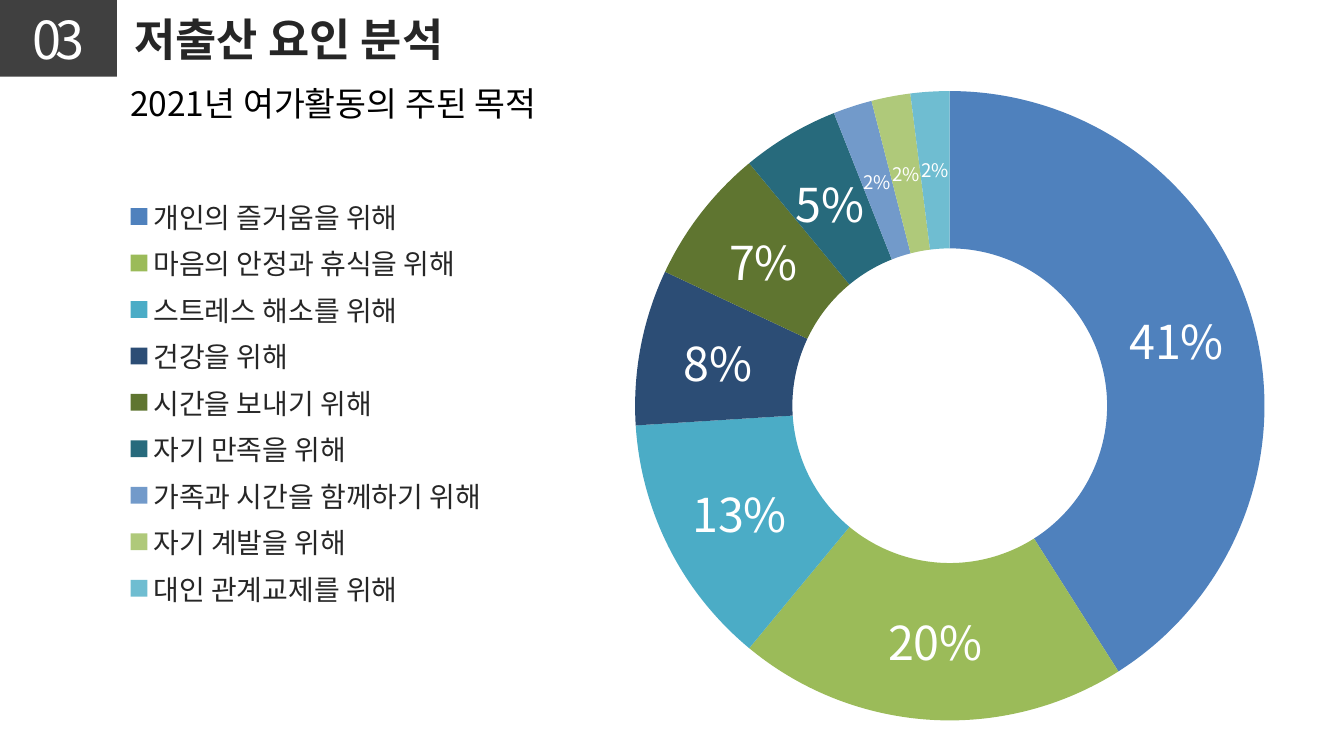
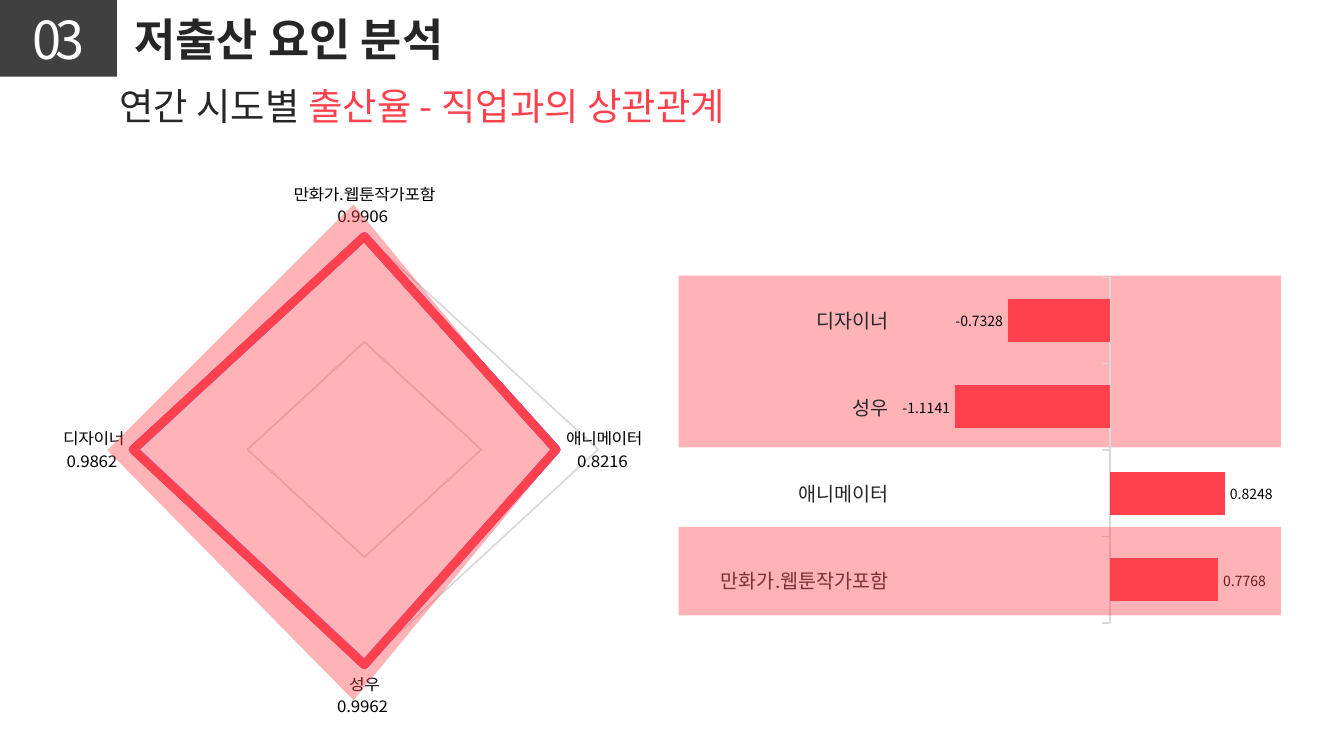
from dataclasses import dataclass

from lxml import etree
from pptx import Presentation
from pptx import util as u
from pptx.chart import data as cd
from pptx.dml.color import RGBColor
from pptx.enum import chart as ch
from pptx.enum import shapes, text
from pptx.oxml.ns import qn

FACE = "Noto Sans CJK KR"
HUES = {
    "dark": "404040", "ink": "262626", "black": "000000", "white": "FFFFFF",
    "red": "FF414D", "violet": "9966FF", "grid": "D9D9D9",
}


@dataclass
class Box:
    left: float
    top: float
    width: float
    height: float

    def lens(self) -> tuple:
        return tuple(map(u.Inches, (self.left, self.top, self.width, self.height)))


@dataclass
class Part:
    words: str
    hue: str


@dataclass
class Slice:
    name: str
    share: float
    hue: str


# Shared helpers
def rgb(hue: str) -> RGBColor:
    return RGBColor.from_string(HUES.get(hue, hue))


def style(font, size: float, hue: str, bold: bool = False) -> None:
    font.size, font.bold, font.name = u.Pt(size), bold, FACE
    font.color.rgb = rgb(hue)


def paint(shape, hue: str, alpha: int = 100) -> None:
    shape.shadow.inherit = False
    shape.fill.solid()
    shape.fill.fore_color.rgb = rgb(hue)
    shape.line.fill.background()
    if alpha < 100:
        tint = shape.fill._xPr.find(".//" + qn("a:srgbClr"))
        etree.SubElement(tint, qn("a:alpha"), val=str(alpha * 1000))


def add_rect(slide, box: Box, hue: str, alpha: int = 100):
    rect = slide.shapes.add_shape(shapes.MSO_SHAPE.RECTANGLE, *box.lens())
    paint(rect, hue, alpha)
    return rect


def fit(frame) -> None:
    frame.word_wrap = False
    frame.auto_size = text.MSO_AUTO_SIZE.SHAPE_TO_FIT_TEXT


def add_sub(slide, box: Box, size: float, parts: list[Part]) -> None:
    frame = slide.shapes.add_textbox(*box.lens()).text_frame
    fit(frame)
    para = frame.paragraphs[0]
    para.alignment = text.PP_ALIGN.JUSTIFY
    for part in parts:
        run = para.add_run()
        run.text = part.words
        style(run.font, size, part.hue)


def add_page(deck):
    slide = deck.slides.add_slide(deck.slide_layouts[5])
    # Title
    title = slide.shapes.title
    title.left, title.top, title.width, title.height = Box(0.9, 0.04, 2.8, 0.5).lens()
    frame = title.text_frame
    frame.text = "저출산 요인 분석"
    frame.vertical_anchor = text.MSO_ANCHOR.TOP
    fit(frame)
    para = frame.paragraphs[0]
    para.alignment = text.PP_ALIGN.LEFT
    style(para.runs[0].font, 24, "ink", True)
    # Section number
    badge = add_rect(slide, Box(0, 0, 0.87, 0.57), "dark")
    frame = badge.text_frame
    frame.text = "03"
    frame.vertical_anchor = text.MSO_ANCHOR.MIDDLE
    para = frame.paragraphs[0]
    para.alignment = text.PP_ALIGN.CENTER
    style(para.runs[0].font, 28, "white")
    para.runs[0].font._element.set("spc", "-300")
    return slide


# Chart helpers
def add_graph(slide, kind, box: Box, names: list[str], rows: list[list[float]],
              form: str = "General"):
    data = cd.CategoryChartData(number_format=form)
    data.categories = names
    for num, row in enumerate(rows, 1):
        data.add_series(f"Series {num}", row)
    graph = slide.shapes.add_chart(kind, *box.lens(), data).chart
    graph.has_title = False
    graph.has_legend = False
    style(graph.font, 10, "black")
    return graph


def place(node, spot: Box, index: int, inner: bool = True) -> None:
    for old in node.findall(qn("c:layout")):
        node.remove(old)
    lay = etree.Element(qn("c:layout"))
    man = etree.SubElement(lay, qn("c:manualLayout"))
    items = {"layoutTarget": "inner"} if inner else {}
    items |= {"xMode": "edge", "yMode": "edge", "x": spot.left, "y": spot.top,
              "w": spot.width, "h": spot.height}
    for key, val in items.items():
        etree.SubElement(man, qn("c:" + key), val=str(val))
    node.insert(index, lay)


def place_plot(graph, spot: Box) -> None:
    place(graph._chartSpace.find(".//" + qn("c:plotArea")), spot, 0)


def add_marks(row, size: float, hue: str, form: str):
    marks = row.data_labels
    marks.show_value = True
    marks.number_format = form
    marks.number_format_is_linked = False
    style(marks.font, size, hue)
    return marks


def set_scale(axis, low: float, high: float, step: float) -> None:
    axis.minimum_scale, axis.maximum_scale, axis.major_unit = low, high, step
    axis.visible = False


# Leisure slide
AIMS = [
    Slice("개인의 즐거움을 위해", 0.41, "4F81BD"),
    Slice("마음의 안정과 휴식을 위해", 0.2, "9BBB59"),
    Slice("스트레스 해소를 위해", 0.13, "4BACC6"),
    Slice("건강을 위해", 0.08, "2C4D75"),
    Slice("시간을 보내기 위해", 0.07, "5F7530"),
    Slice("자기 만족을 위해", 0.05, "276A7C"),
    Slice("가족과 시간을 함께하기 위해", 0.02, "729ACA"),
    Slice("자기 계발을 위해", 0.02, "AFC97A"),
    Slice("대인 관계교제를 위해", 0.02, "6FBDD1"),
]


def add_ring(slide) -> None:
    graph = add_graph(slide, ch.XL_CHART_TYPE.DOUGHNUT, Box(0.83, 0.53, 9.98, 4.93),
                      [aim.name for aim in AIMS], [[aim.share for aim in AIMS]], "0%")
    place_plot(graph, Box(0.33, 0.03, 0.59, 0.95))
    graph.has_legend = True
    key = graph.legend
    key.position = ch.XL_LEGEND_POSITION.LEFT
    key.include_in_layout = False
    style(key.font, 15, "ink")
    place(key._element, Box(0.01, 0.18, 0.27, 0.64), 1, False)
    row = graph.plots[0].series[0]
    add_marks(row, 25, "white", "0%")
    for num, aim in enumerate(AIMS):
        point = row.points[num]
        point.format.fill.solid()
        point.format.fill.fore_color.rgb = rgb(aim.hue)
        if aim.share < 0.05:
            style(point.data_label.font, 10, "white")
    for node in row._element.xpath("c:dLbls/c:dLbl/c:txPr"):
        form = etree.Element(qn("c:numFmt"), formatCode="0%", sourceLinked="0")
        node.addprevious(form)


# Jobs slide
JOBS = ["만화가.웹툰작가포함", "애니메이터", "성우", "디자이너"]
FINE = [0.9906, 0.8216, 0.9962, 0.9862]
ROUND = [0.99, 0.82, 1, 0.99]
SLOPES = [0.7768, 0.8248, -1.1141, -0.7328]


def add_radar(slide) -> None:
    graph = add_graph(slide, ch.XL_CHART_TYPE.RADAR, Box(0.47, 1.36, 4.31, 3.98),
                      JOBS, [ROUND, ROUND, FINE, ROUND])
    graph.category_axis.visible = False
    graph.category_axis.has_major_gridlines = False
    axis = graph.value_axis
    set_scale(axis, 0, 1, 0.5)
    axis.has_major_gridlines = True
    line = axis.major_gridlines.format.line
    line.width, line.color.rgb = u.Pt(1), rgb("grid")
    rows = list(graph.plots[0].series)
    for num, row in enumerate(rows):
        row.smooth = False
        line = row.format.line
        line.width, line.color.rgb = u.Pt(5), rgb("violet" if num else "red")
    marks = add_marks(rows[2], 10, "black", r"#,##0.0000_);[Red]\(#,##0.0000\)")
    marks.show_category_name = True
    gap = etree.Element(qn("c:separator"))
    gap.text = "\n"
    marks._element.find(qn("c:showBubbleSize")).addnext(gap)
    # The red line lies on top
    rows[-1]._element.addnext(rows[0]._element)


def add_kite(slide) -> None:
    pts = [(0.8, 3.35), (2.63, 1.52), (4.15, 3.37), (2.63, 5.21)]
    pts = [(u.Inches(x), u.Inches(y)) for x, y in pts]
    pen = slide.shapes.build_freeform(*pts[0])
    pen.add_line_segments(pts[1:], close=True)
    paint(pen.convert_to_shape(), "red", 40)


def add_bars(slide) -> None:
    graph = add_graph(slide, ch.XL_CHART_TYPE.BAR_CLUSTERED, Box(5.16, 2.01, 4.31, 2.68),
                      JOBS, [SLOPES])
    place_plot(graph, Box(0.36, 0.02, 0.6, 0.96))
    set_scale(graph.value_axis, -1.5, 1, 0.5)
    graph.value_axis.has_major_gridlines = False
    axis = graph.category_axis
    axis.tick_label_position = ch.XL_TICK_LABEL_POSITION.LOW
    axis.major_tick_mark = ch.XL_TICK_MARK.OUTSIDE
    style(axis.tick_labels.font, 10.5, "ink")
    line = axis.format.line
    line.width, line.color.rgb = u.Pt(0.75), rgb("grid")
    plot = graph.plots[0]
    plot.gap_width = 100
    plot.vary_by_categories = False
    row = plot.series[0]
    row.invert_if_negative = False
    row.format.fill.solid()
    row.format.fill.fore_color.rgb = rgb("red")
    marks = add_marks(row, 7.5, "black", "General")
    marks.position = ch.XL_LABEL_POSITION.OUTSIDE_END


def main() -> None:
    deck = Presentation()
    deck.slide_width, deck.slide_height = u.Inches(10), u.Inches(10 * 9 / 16)

    slide = add_page(deck)
    add_ring(slide)
    add_sub(slide, Box(0.87, 0.57, 3.64, 0.4), 18,
            [Part("2021년 여가활동의 주된 목적 ", "black")])

    slide = add_page(deck)
    add_sub(slide, Box(0.79, 0.57, 5.48, 0.44), 20,
            [Part("연간 시도별 ", "ink"), Part("출산율 - 직업과의 상관관계", "red")])
    add_rect(slide, Box(5.05, 2.05, 4.48, 1.28), "red", 40)
    add_radar(slide)
    add_kite(slide)
    add_bars(slide)
    add_rect(slide, Box(5.05, 3.92, 4.48, 0.66), "red", 40)

    deck.save("out.pptx")


if __name__ == "__main__":
    main()
